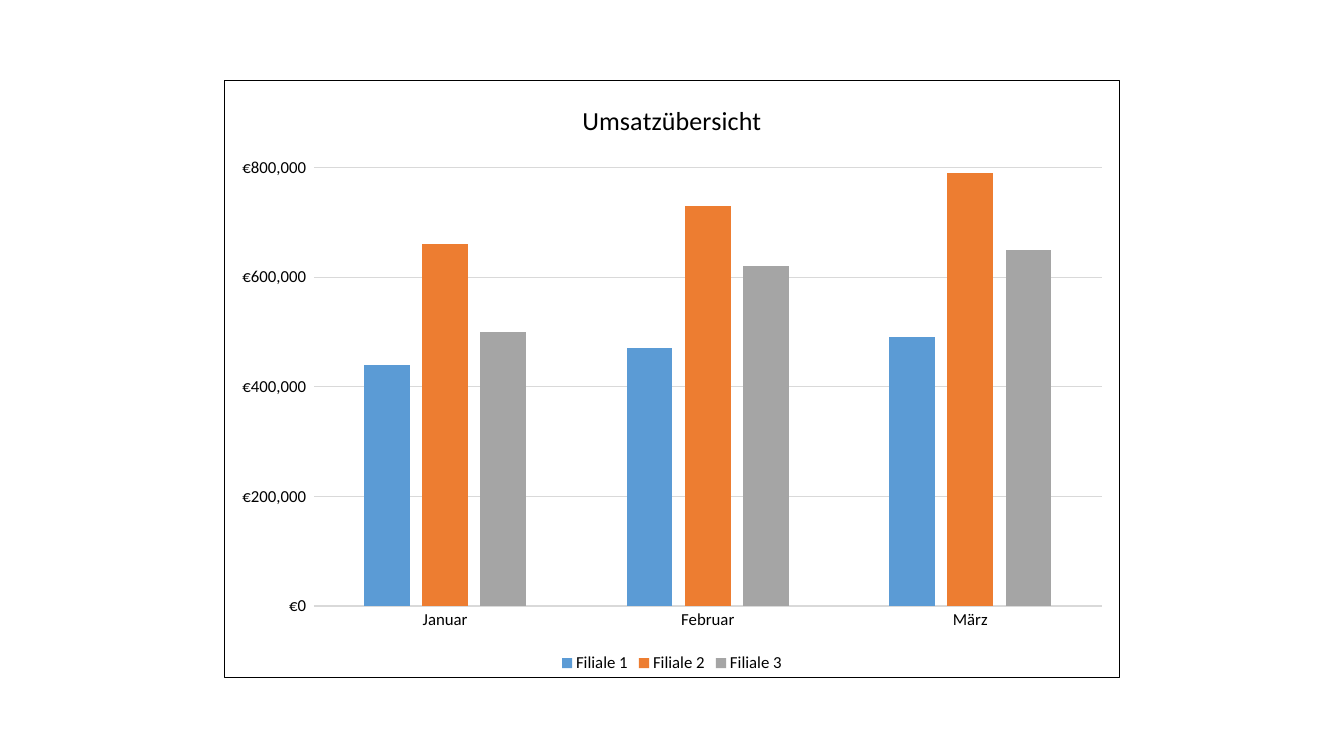
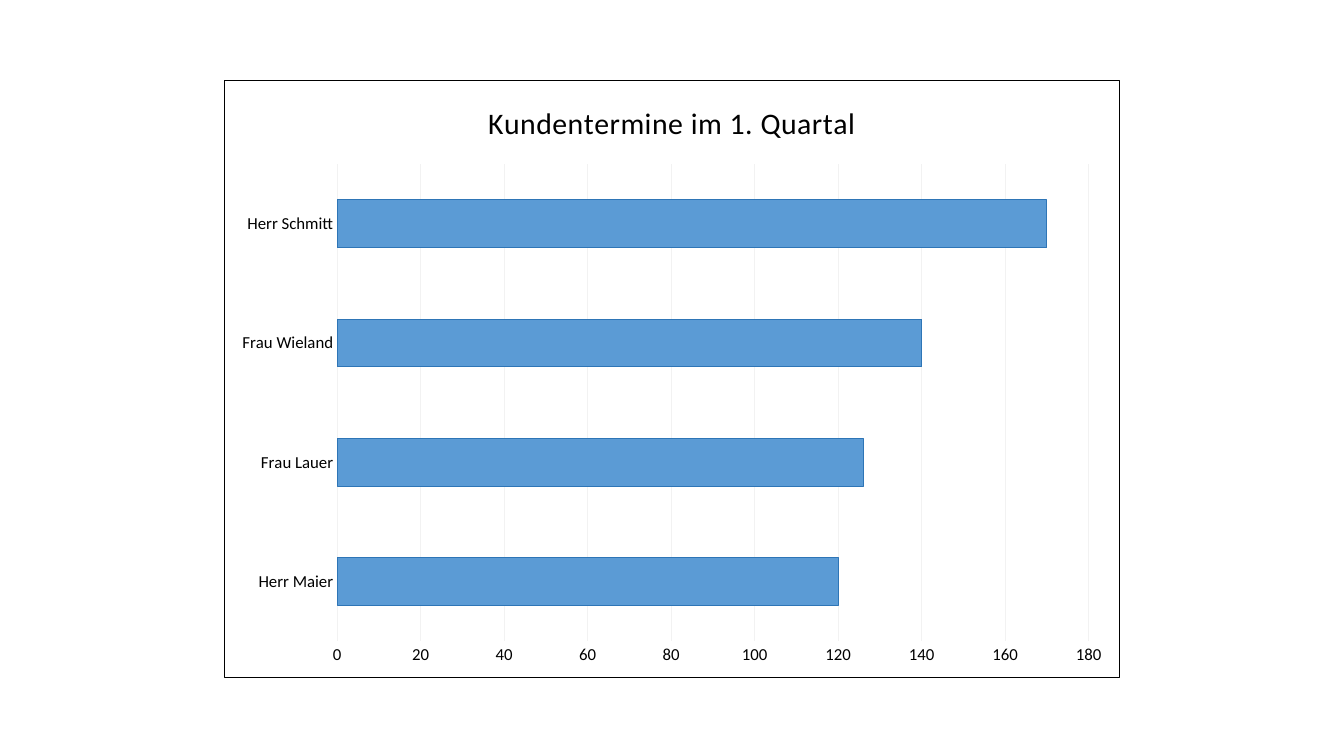
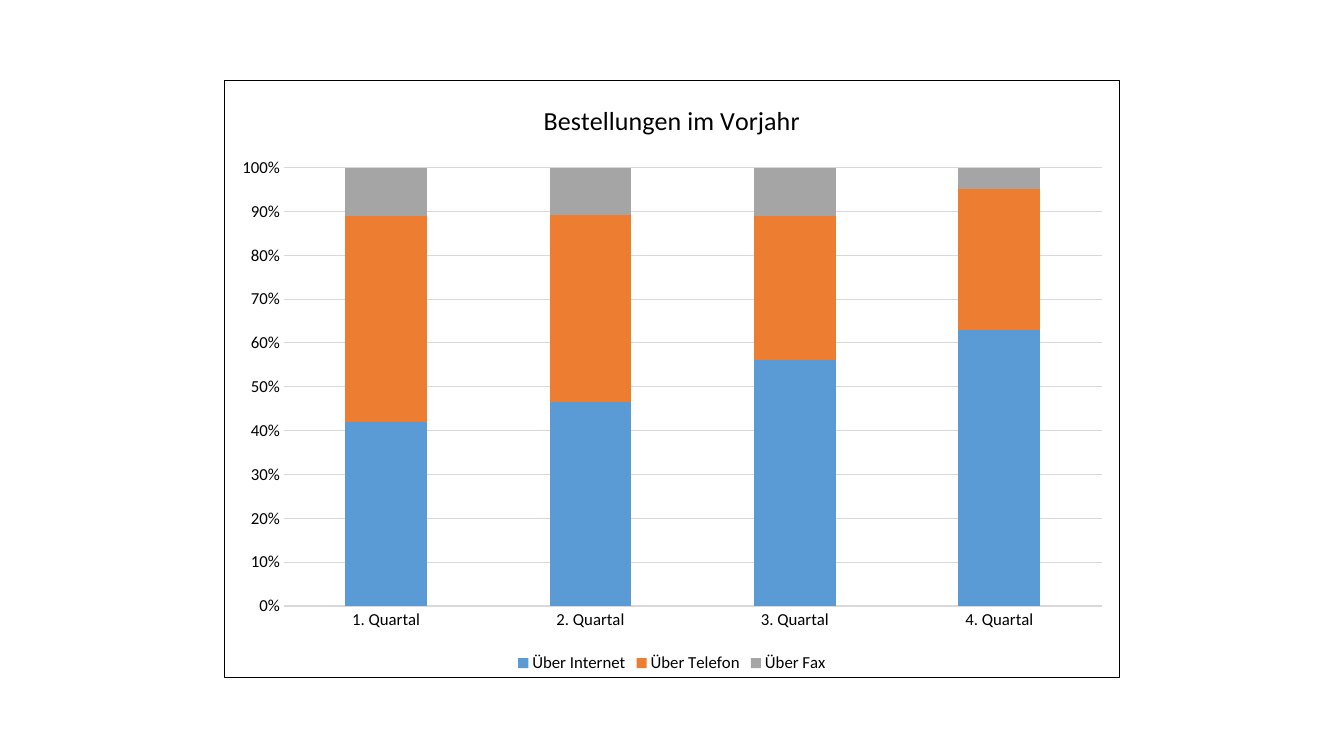
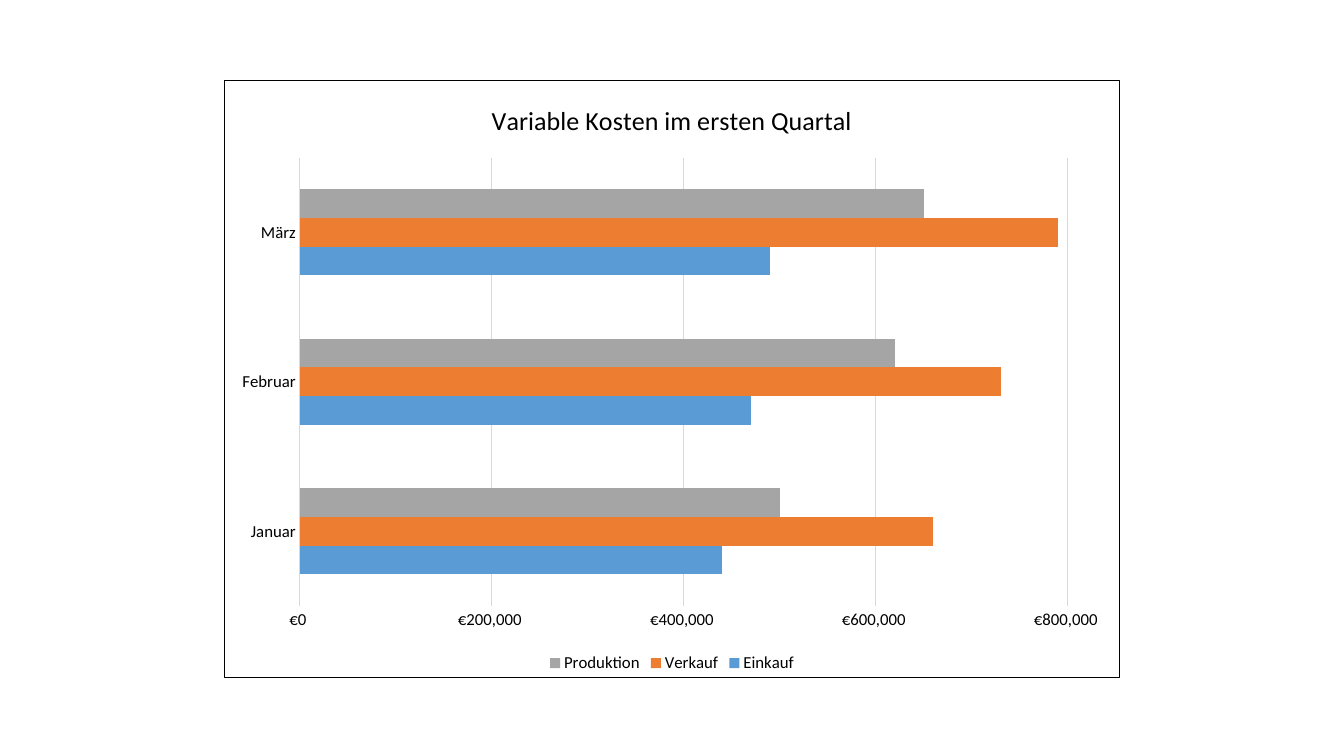
from lxml.etree import SubElement
from pptx import Presentation
from pptx.chart.data import CategoryChartData
from pptx.dml.color import RGBColor
from pptx.enum.chart import XL_CHART_TYPE, XL_LEGEND_POSITION, XL_TICK_MARK
from pptx.oxml.ns import qn
from pptx.util import Pt

# Shared colours, fonts and formats
BLACK = RGBColor(0x00, 0x00, 0x00)
BLUE = RGBColor(0x5B, 0x9B, 0xD5)
DARK_BLUE = RGBColor(0x2E, 0x75, 0xB6)
ORANGE = RGBColor(0xED, 0x7D, 0x31)
GREY = RGBColor(0xA5, 0xA5, 0xA5)
LIGHT_GREY = RGBColor(0xD9, 0xD9, 0xD9)
PALE_GREY = RGBColor(0xF2, 0xF2, 0xF2)

SERIES_COLOURS = [BLUE, ORANGE, GREY]
HAIRLINE = Pt(0.75)
FRAME = Pt(160), Pt(57), Pt(640), Pt(427)
EURO = r'"€"#,##0_);[Red]\("€"#,##0\)'
BASE_FONT = {"name": "Calibri", "size": Pt(10)}
LABEL_FONT = {"name": "Calibri", "size": Pt(12)}
TITLE_FONT = {"name": "Calibri", "size": Pt(18.6), "bold": False}
EURO_SCALE = {"maximum_scale": 800000, "minimum_scale": 0, "major_unit": 200000}

# Contents of the charts
MONTHS = ["Januar", "Februar", "März"]
MONTHLY_VALUES = [
    [440000, 470000, 490000],
    [660000, 730000, 790000],
    [500000, 620000, 650000],
]
CHARTS = [
    {
        "title": "Umsatzübersicht",
        "type": XL_CHART_TYPE.COLUMN_CLUSTERED,
        "categories": MONTHS,
        "series": dict(zip(["Filiale 1", "Filiale 2", "Filiale 3"], MONTHLY_VALUES)),
        "number_format": EURO,
        "scale": EURO_SCALE,
        "plot": {"gap_width": 219, "overlap": -27},
    },
    {
        "title": "Kundentermine im 1. Quartal",
        "title_font": {"size": Pt(21.3)},
        "title_spacing": "50",
        "type": XL_CHART_TYPE.BAR_CLUSTERED,
        "categories": ["Herr Maier", "Frau Lauer", "Frau Wieland", "Herr Schmitt"],
        "series": {"Series 1": [120, 126, 140, 170]},
        "number_format": "General",
        "plot": {"gap_width": 150},
        "grid": PALE_GREY,
        "category_line": None,
        "bar_line": DARK_BLUE,
    },
    {
        "title": "Bestellungen im Vorjahr",
        "type": XL_CHART_TYPE.COLUMN_STACKED_100,
        "categories": [f"{number}. Quartal" for number in range(1, 5)],
        "series": {
            "Über Internet": [42, 47, 56, 63],
            "Über Telefon": [47, 43, 33, 32],
            "Über Fax": [11, 11, 11, 5],
        },
        "number_format": "0%",
        "plot": {"gap_width": 150, "overlap": 100},
    },
    {
        "title": "Variable Kosten im ersten Quartal",
        "type": XL_CHART_TYPE.BAR_CLUSTERED,
        "categories": MONTHS,
        "series": dict(zip(["Einkauf", "Verkauf", "Produktion"], MONTHLY_VALUES)),
        "number_format": EURO,
        "scale": EURO_SCALE,
        "plot": {"gap_width": 219},
    },
]


def set_font(font, values):
    for name, value in values.items():
        setattr(font, name, value)
    font.color.rgb = BLACK


def set_line(line, colour):
    if colour is None:
        line.fill.background()
    else:
        line.color.rgb = colour
        line.width = HAIRLINE


deck = Presentation()
deck.slide_width, deck.slide_height = Pt(960), Pt(540)

for content in CHARTS:
    page = deck.slides.add_slide(deck.slide_layouts[6])

    # Chart and its data
    data = CategoryChartData()
    data.categories = content["categories"]
    for name, values in content["series"].items():
        data.add_series(name, values)
    chart = page.shapes.add_chart(content["type"], *FRAME, data).chart
    set_font(chart.font, BASE_FONT)

    # Black frame around the chart
    frame = chart.element.makeelement(qn("c:spPr"), {})
    SubElement(frame, qn("a:noFill"))
    border = SubElement(frame, qn("a:ln"), w=str(HAIRLINE))
    fill = SubElement(border, qn("a:solidFill"))
    SubElement(fill, qn("a:srgbClr"), val=str(BLACK))
    chart.element.find(qn("c:chart")).addnext(frame)

    # Title
    chart.has_title = True
    para = chart.chart_title.text_frame.paragraphs[0]
    span = para.add_run()
    span.text = content["title"]
    set_font(span.font, TITLE_FONT | content.get("title_font", {}))
    if "title_spacing" in content:
        span.font._element.set("spc", content["title_spacing"])

    # Axes and grid
    for axis in (chart.category_axis, chart.value_axis):
        axis.major_tick_mark = axis.minor_tick_mark = XL_TICK_MARK.NONE
        set_font(axis.tick_labels.font, LABEL_FONT)
    set_line(chart.category_axis.format.line, content.get("category_line", LIGHT_GREY))
    set_line(chart.value_axis.format.line, None)
    chart.value_axis.has_major_gridlines = True
    set_line(chart.value_axis.major_gridlines.format.line, content.get("grid", LIGHT_GREY))
    chart.value_axis.tick_labels.number_format = content["number_format"]
    chart.value_axis.tick_labels.number_format_is_linked = False
    for name, value in content.get("scale", {}).items():
        setattr(chart.value_axis, name, value)

    # Bars
    plot = chart.plots[0]
    plot.vary_by_categories = False
    for name, value in content["plot"].items():
        setattr(plot, name, value)
    for series, colour in zip(plot.series, SERIES_COLOURS):
        series.format.fill.solid()
        series.format.fill.fore_color.rgb = colour
        set_line(series.format.line, content.get("bar_line"))

    # Legend
    chart.has_legend = len(content["series"]) > 1
    if chart.has_legend:
        chart.legend.position = XL_LEGEND_POSITION.BOTTOM
        chart.legend.include_in_layout = False
        set_font(chart.legend.font, LABEL_FONT)

deck.save("out.pptx")
